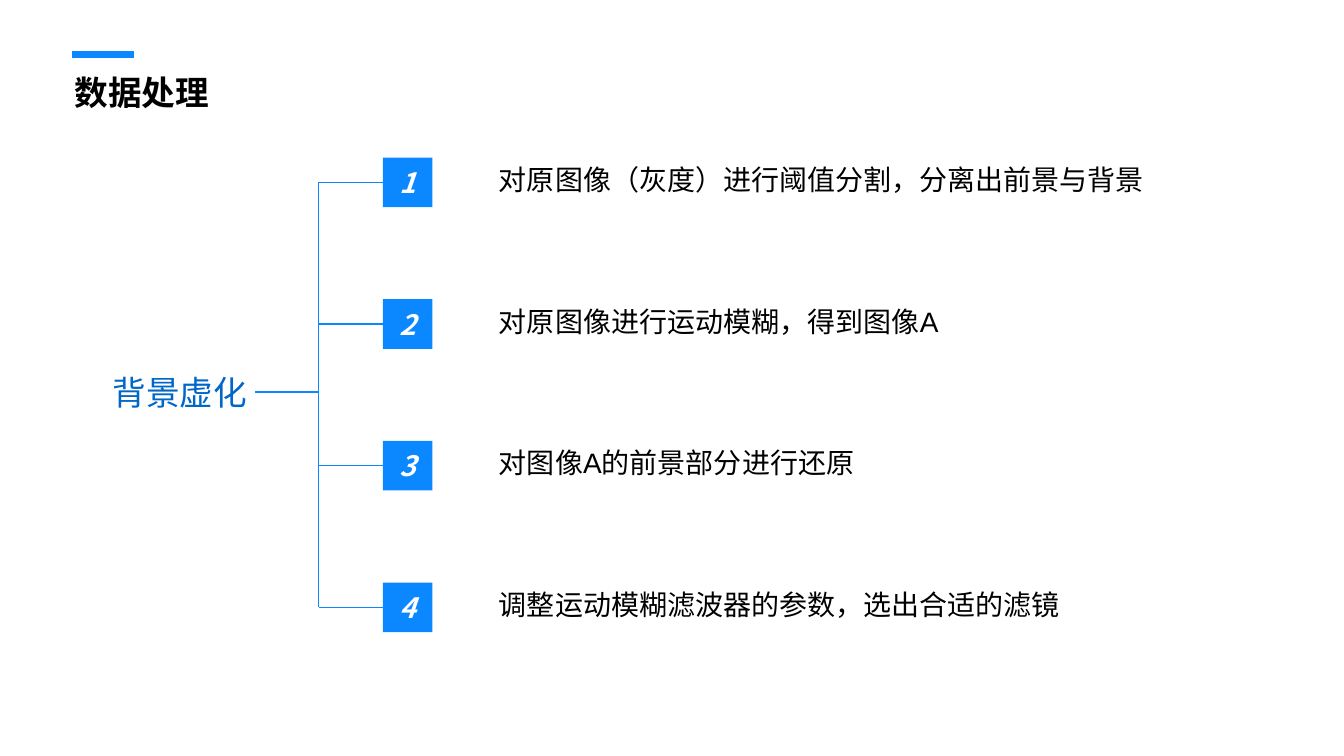
from dataclasses import dataclass

from lxml import etree
from pptx import Presentation
from pptx.dml.color import RGBColor
from pptx.enum.shapes import MSO_CONNECTOR, MSO_SHAPE
from pptx.enum.text import MSO_ANCHOR, MSO_AUTO_SIZE, PP_ALIGN
from pptx.oxml.ns import qn
from pptx.util import Cm, Pt

RECT = MSO_SHAPE.RECTANGLE
STRAIGHT = MSO_CONNECTOR.STRAIGHT
TOP, MIDDLE = MSO_ANCHOR.TOP, MSO_ANCHOR.MIDDLE
LEFT, CENTER = PP_ALIGN.LEFT, PP_ALIGN.CENTER
NO_AUTOFIT = MSO_AUTO_SIZE.NONE
COMPARISON_LAYOUT = 4  # one title and four body placeholders


@dataclass(frozen=True)
class Theme:
    accent: RGBColor = RGBColor(0x0B, 0x88, 0xFF)
    topic: RGBColor = RGBColor(0x00, 0x66, 0xC8)
    ink: RGBColor = RGBColor(0x00, 0x00, 0x00)
    paper: RGBColor = RGBColor(0xFF, 0xFF, 0xFF)
    latin: str = "Arial"
    cjk: str = "Noto Sans CJK SC"
    heading_size: int = 24
    body_size: int = 20
    line_width: float = 1
    bar_width: float = 5


THEME = Theme()

# Steps: wording and text width in cm
STEPS = [
    ("对原图像（灰度）进行阈值分割，分离出前景与背景", 17.58),
    ("对原图像进行运动模糊，得到图像A", 15.01),
    ("对图像A的前景部分进行还原", 15.01),
    ("调整运动模糊滤波器的参数，选出合适的滤镜", 15.01),
]

# Layout of the tree, in cm
FIRST_TOP, STEP_PITCH = 3.97, 3.57
BADGE_LEFT, BADGE_SIZE = 9.65, 1.25
TRUNK_X, TOPIC_RIGHT, TOPIC_Y = 8.03, 6.43, 9.88
STEP_LEFT, STEP_HEIGHT = 12.32, 1.11


def write(shape, text, *, size=THEME.body_size, color=THEME.ink, font=THEME.latin,
          bold=False, italic=False, align=LEFT, anchor=TOP):
    frame = shape.text_frame
    frame.word_wrap = True
    frame.auto_size = NO_AUTOFIT
    frame.vertical_anchor = anchor
    paragraph = frame.paragraphs[0]
    paragraph.alignment = align
    paragraph.space_before = Pt(0)
    run = paragraph.add_run()
    run.text = text
    run.font.size = Pt(size)
    run.font.bold = bold
    run.font.italic = italic
    run.font.color.rgb = color
    run.font.name = font
    east_asian = etree.SubElement(run._r.get_or_add_rPr(), qn("a:ea"))
    east_asian.set("typeface", THEME.cjk)


def place(shape, left, top, width, height):
    shape.left, shape.top = Cm(left), Cm(top)
    shape.width, shape.height = Cm(width), Cm(height)


def remove_bullet(shape):
    properties = shape.text_frame.paragraphs[0]._p.get_or_add_pPr()
    properties.set("marL", "0")
    properties.set("indent", "0")
    etree.SubElement(properties, qn("a:buNone"))


def add_line(slide, x1, y1, x2, y2, width=THEME.line_width):
    line = slide.shapes.add_connector(STRAIGHT, Cm(x1), Cm(y1), Cm(x2), Cm(y2))
    line.line.color.rgb = THEME.accent
    line.line.width = Pt(width)
    etree.SubElement(line._element.spPr, qn("a:effectLst"))


def add_badge(slide, number, top):
    badge = slide.shapes.add_shape(
        RECT, Cm(BADGE_LEFT), Cm(top), Cm(BADGE_SIZE), Cm(BADGE_SIZE))
    badge.shadow.inherit = False
    badge.fill.solid()
    badge.fill.fore_color.rgb = THEME.accent
    badge.line.fill.background()
    write(badge, str(number), color=THEME.paper, font=THEME.cjk,
          bold=True, italic=True, align=CENTER, anchor=MIDDLE)


def add_heading(slide):
    add_line(slide, 1.81, 1.37, 3.38, 1.37, THEME.bar_width)
    heading = slide.shapes.title
    place(heading, 1.63, 1.68, 4, 1.28)
    write(heading, "数据处理", size=THEME.heading_size, font=THEME.cjk, bold=True)


def add_topic(slide):
    topic = slide.shapes.add_textbox(Cm(2.59), Cm(9.25), Cm(4.65), Cm(1.28))
    write(topic, "背景虚化", size=THEME.heading_size, color=THEME.topic)
    add_line(slide, TOPIC_RIGHT, TOPIC_Y, TRUNK_X, TOPIC_Y)


def add_step(slide, placeholder, number, text, top, width):
    branch_y = top + BADGE_SIZE / 2
    add_line(slide, TRUNK_X, branch_y, BADGE_LEFT, branch_y)
    add_badge(slide, number, top)
    place(placeholder, STEP_LEFT, top, width, STEP_HEIGHT)
    write(placeholder, text)
    remove_bullet(placeholder)


def main():
    deck = Presentation()
    deck.slide_width, deck.slide_height = Cm(33.87), Cm(19.05)
    slide = deck.slides.add_slide(deck.slide_layouts[COMPARISON_LAYOUT])

    add_heading(slide)
    add_topic(slide)

    # Trunk from the first branch to the last
    first_branch = FIRST_TOP + BADGE_SIZE / 2
    last_branch = first_branch + STEP_PITCH * (len(STEPS) - 1)
    add_line(slide, TRUNK_X, first_branch, TRUNK_X, last_branch)

    # Numbered steps
    bodies = list(slide.placeholders)[1:]
    for index, (body, (text, width)) in enumerate(zip(bodies, STEPS)):
        add_step(slide, body, index + 1, text, FIRST_TOP + STEP_PITCH * index, width)

    deck.save("out.pptx")


if __name__ == "__main__":
    main()
